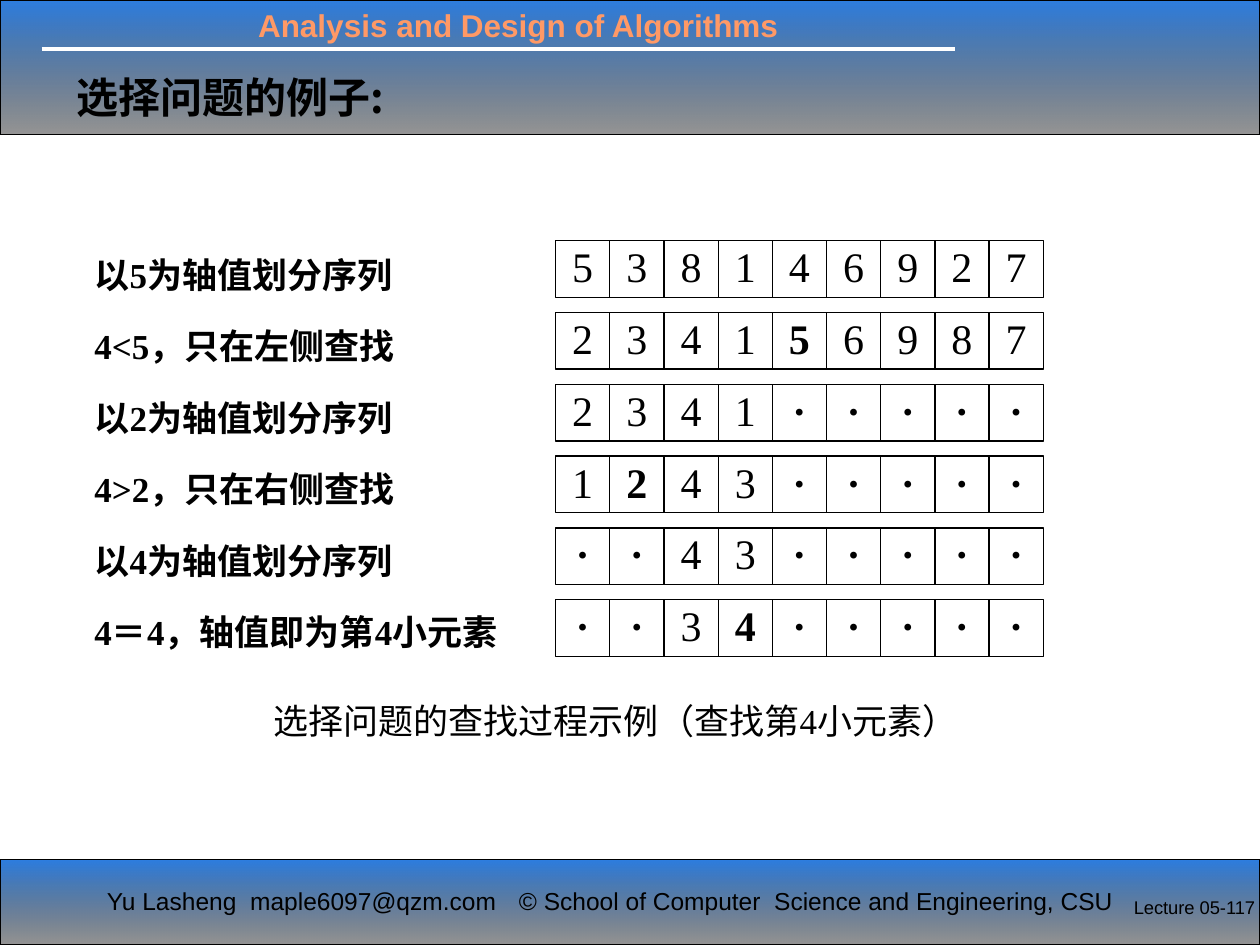
from dataclasses import dataclass

from lxml import etree
from pptx import Presentation
from pptx.dml.color import RGBColor
from pptx.enum.shapes import MSO_CONNECTOR, MSO_SHAPE
from pptx.enum.text import MSO_ANCHOR, MSO_AUTO_SIZE, PP_ALIGN
from pptx.oxml.ns import qn
from pptx.util import Inches, Pt

RECTANGLE = MSO_SHAPE.RECTANGLE
STRAIGHT = MSO_CONNECTOR.STRAIGHT
LEFT, JUSTIFY = PP_ALIGN.LEFT, PP_ALIGN.JUSTIFY
TOP, MIDDLE = MSO_ANCHOR.TOP, MSO_ANCHOR.MIDDLE
NO_AUTOFIT = MSO_AUTO_SIZE.NONE


@dataclass(frozen=True)
class Theme:
    ink: RGBColor = RGBColor(0x00, 0x00, 0x00)
    paper: RGBColor = RGBColor(0xFF, 0xFF, 0xFF)
    band: RGBColor = RGBColor(0x0E, 0x6B, 0xDC)
    course: RGBColor = RGBColor(0xFF, 0x99, 0x66)
    band_opacity: tuple = (88, 41)
    sans: str = "Arial"
    serif: str = "Times New Roman"
    chinese: str = "Noto Sans CJK SC"
    title_size: float = 24
    cell_size: float = 24
    body_size: float = 20
    course_size: float = 18
    footer_size: float = 14
    page_size: float = 10.5
    thin: float = 0.75
    thick: float = 2.25


THEME = Theme()
DEFAULT_INSETS = (0.1, 0.05, 0.1, 0.05)
CELL_COUNT = 9
STEPS = [
    "以5为轴值划分序列",
    "4<5，只在左侧查找",
    "以2为轴值划分序列",
    "4>2，只在右侧查找",
    "以4为轴值划分序列",
    "4＝4，轴值即为第4小元素",
]
SEQUENCES = [
    ("538146927", ""),
    ("234156987", "5"),
    ("2341·····", "·"),
    ("1243·····", "2·"),
    ("··43·····", "·"),
    ("··34·····", "4·"),
]


def write_text(shape, paragraphs, *, size, font=THEME.sans, color=THEME.ink, bold=False,
               align=LEFT, anchor=TOP, insets=DEFAULT_INSETS, wrap=True, spacing=None, tabs=()):
    frame = shape.text_frame
    frame.auto_size = NO_AUTOFIT
    frame.word_wrap = wrap
    frame.vertical_anchor = anchor
    frame.margin_left, frame.margin_top, frame.margin_right, frame.margin_bottom = map(Inches, insets)
    for index, content in enumerate(paragraphs):
        paragraph = frame.paragraphs[0] if index == 0 else frame.add_paragraph()
        paragraph.alignment = align
        if tabs:
            add_center_tabs(paragraph, tabs)
        if spacing:
            paragraph.line_spacing = spacing
        runs = [(content, bold)] if isinstance(content, str) else content
        for text, is_bold in runs:
            run = paragraph.add_run()
            run.text = text
            run.font.size = Pt(size)
            run.font.bold = is_bold
            run.font.color.rgb = color
            run.font.name = font
            latin = run.font._element.find(qn("a:latin"))
            east_asian = etree.Element(qn("a:ea"), typeface=THEME.chinese)
            latin.addnext(east_asian)


def add_center_tabs(paragraph, positions):
    tab_list = etree.SubElement(paragraph._p.get_or_add_pPr(), qn("a:tabLst"))
    for position in positions:
        etree.SubElement(tab_list, qn("a:tab"), pos=str(Inches(position)), algn="ctr")


def add_text(slide, box, paragraphs, **style):
    shape = slide.shapes.add_textbox(*map(Inches, box))
    write_text(shape, paragraphs, **style)


def add_rectangle(slide, box):
    shape = slide.shapes.add_shape(RECTANGLE, *map(Inches, box))
    shape.shadow.inherit = False
    shape.fill.background()
    shape.line.color.rgb = THEME.ink
    shape.line.width = Pt(THEME.thin)
    return shape


def add_line(slide, start, end, color, width):
    line = slide.shapes.add_connector(STRAIGHT, *map(Inches, (*start, *end)))
    line.line.color.rgb = color
    line.line.width = Pt(width)
    etree.SubElement(line._element.spPr, qn("a:effectLst"))


def add_band(slide, box):
    band = add_rectangle(slide, box)
    band.fill.gradient()
    band.fill.gradient_angle = 270
    for stop, color in zip(band.fill.gradient_stops, (THEME.band, THEME.ink)):
        stop.color.rgb = color
    gradient = band._element.spPr.find(qn("a:gradFill"))
    for color, opacity in zip(gradient.iter(qn("a:srgbClr")), THEME.band_opacity):
        etree.SubElement(color, qn("a:alpha"), val=str(opacity * 1000))


def add_header(slide, box):
    left, top, width, height = box
    add_band(slide, box)
    add_line(slide, (left + 0.33, top + 0.39), (left + 7.58, top + 0.39), THEME.paper, THEME.thick)
    add_text(slide, (left + 1.95, top, 5, 0.4), ["Analysis and Design of Algorithms"],
             size=THEME.course_size, color=THEME.course, bold=True)
    title = slide.shapes.title
    title.left, title.top = Inches(left + 0.51), Inches(top + 0.52)
    title.width, title.height = Inches(width - 1.33), Inches(0.5)
    write_text(title, ["选择问题的例子:"], size=THEME.title_size, font=THEME.chinese,
               bold=True, anchor=MIDDLE)
    title.element.getparent().append(title.element)


def add_footer(slide, box):
    left, top, width, height = box
    add_band(slide, box)
    entries = [
        (0.75, 0.16, 3.21, "Yu Lasheng  maple6097@qzm.com", THEME.footer_size),
        (4.02, 0.16, 5.12, "© School of Computer  Science and Engineering, CSU", THEME.footer_size),
        (8.9, 0.24, 1.1, "Lecture 05-117", THEME.page_size),
    ]
    for offset, drop, entry_width, text, size in entries:
        add_text(slide, (left + offset, top + drop, entry_width, 0.34), [text], size=size, wrap=False)


def add_sequence(slide, box, values, bold_values):
    left, top, width, height = box
    cell_width = width / CELL_COUNT
    strip = add_rectangle(slide, box)
    inset = 0.02
    centers = [cell_width * (index + 0.5) - inset for index in range(CELL_COUNT)]
    runs = [("\t" + value, value in bold_values) for value in values]
    write_text(strip, [runs], size=THEME.cell_size, font=THEME.serif, align=JUSTIFY,
               insets=(inset, 0, inset, 0), tabs=centers)
    for index in range(1, CELL_COUNT):
        x = left + index * cell_width
        add_line(slide, (x, top), (x, top + height), THEME.ink, THEME.thin)


def add_search_example(slide, box):
    left, top, width, height = box
    add_text(slide, (left, top, 3.26, 3.47), STEPS, size=THEME.body_size, font=THEME.serif,
             bold=True, align=JUSTIFY, insets=(0, 0, 0, 0), spacing=1.7)
    for index, (values, bold_values) in enumerate(SEQUENCES):
        add_sequence(slide, (left + 3.66, top + 0.13 + 0.57 * index, 3.87, 0.45), values, bold_values)
    add_text(slide, (left + 1.17, top + height - 0.38, 6.78, 0.38),
             ["选择问题的查找过程示例（查找第4小元素）"], size=THEME.body_size,
             font=THEME.serif, align=JUSTIFY, insets=(0.25, 0, 0, 0))


def main():
    presentation = Presentation()
    presentation.slide_width, presentation.slide_height = Inches(10), Inches(7.5)
    slide = presentation.slides.add_slide(presentation.slide_layouts[5])
    add_header(slide, (0, 0, 10, 1.07))
    add_search_example(slide, (0.75, 1.78, 7.95, 4.15))
    add_footer(slide, (0, 6.82, 10, 0.68))
    presentation.save("out.pptx")


if __name__ == "__main__":
    main()
